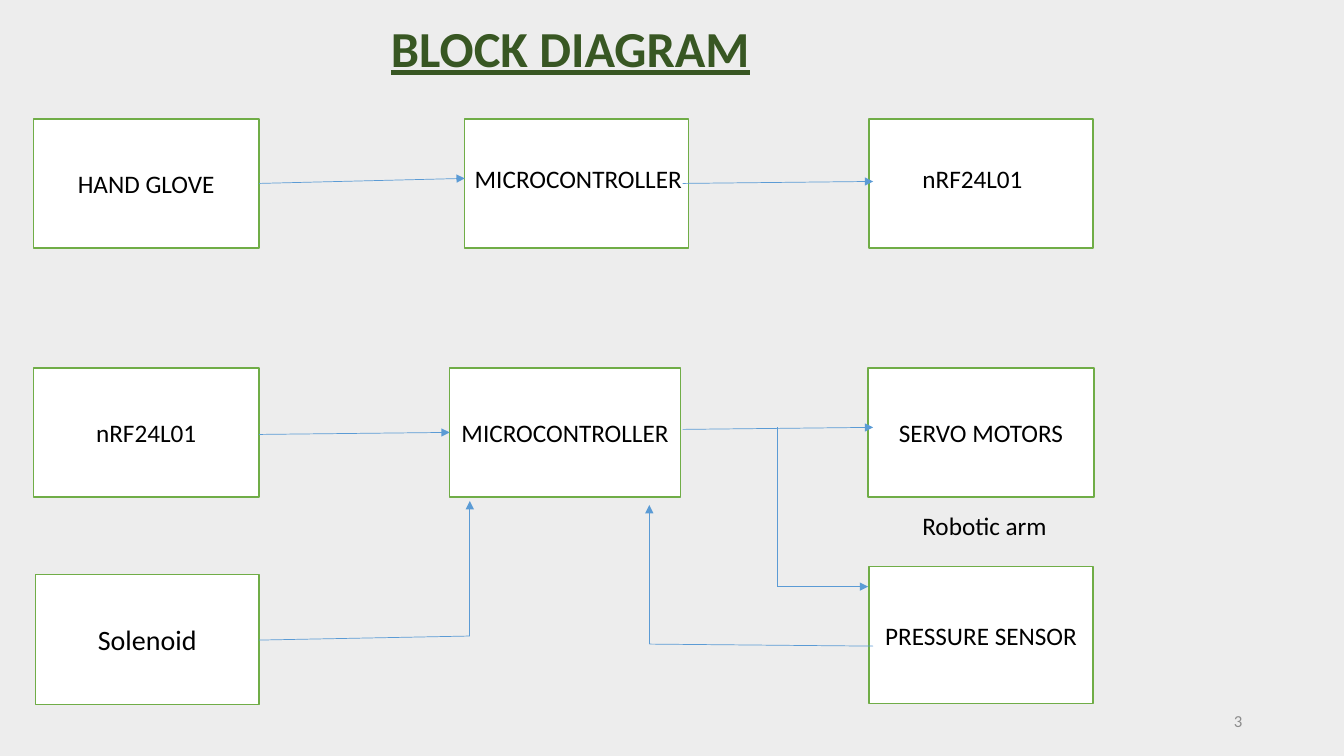
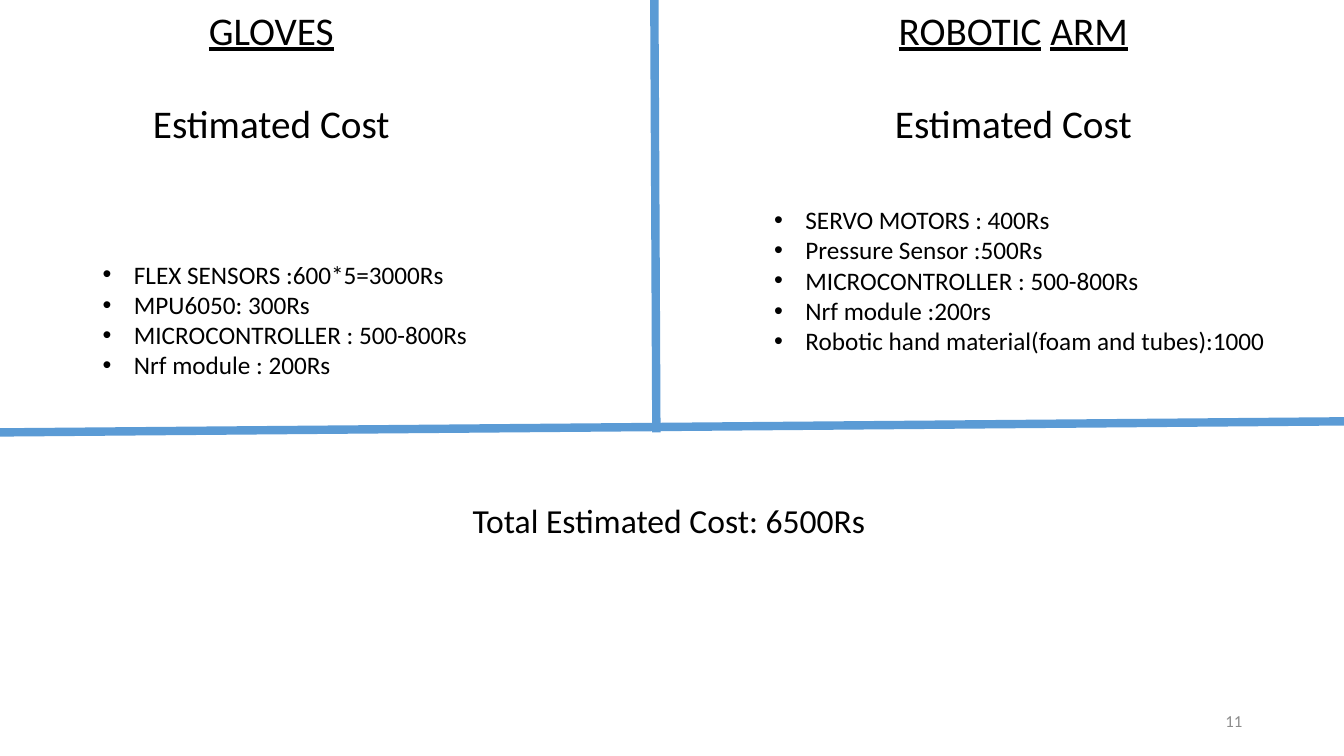
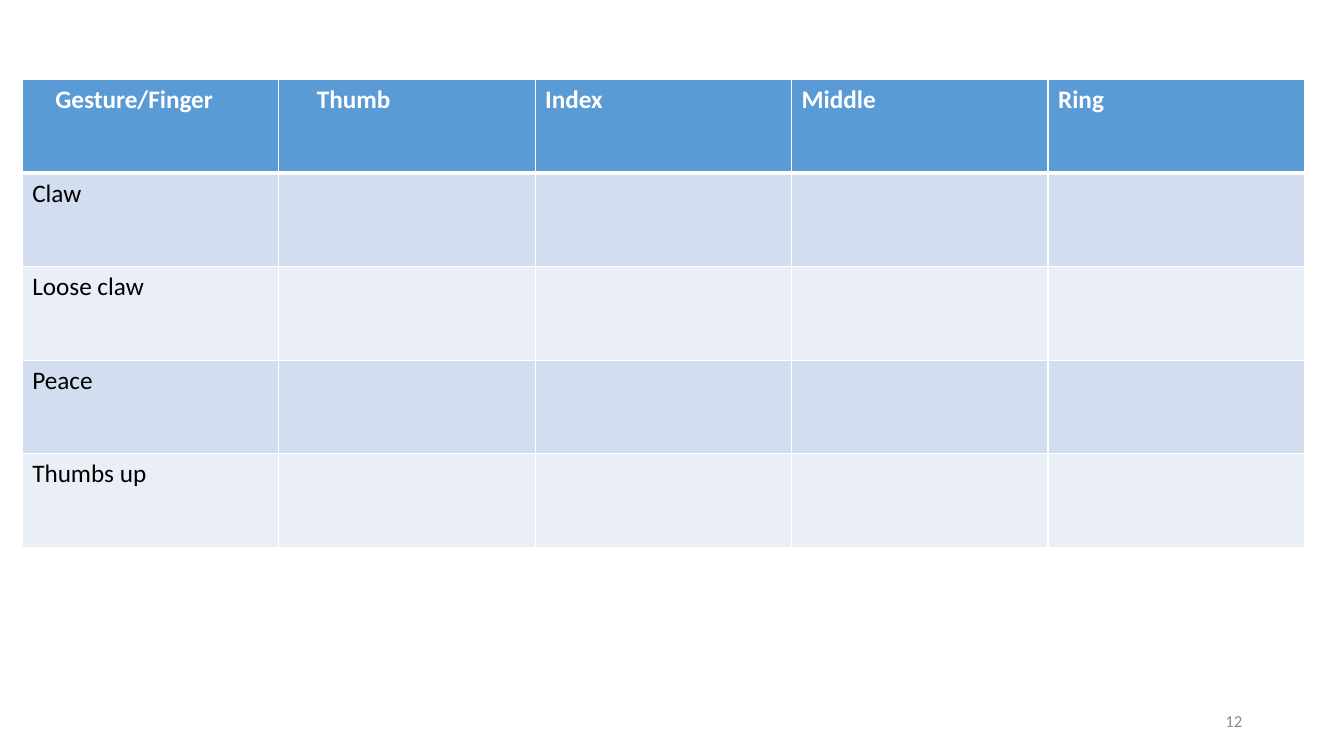
from dataclasses import dataclass
from itertools import pairwise

from lxml import etree
from pptx import Presentation
from pptx import util as u
from pptx.dml.color import RGBColor
from pptx.enum import shapes, text
from pptx.oxml import ns

PX = 9144


@dataclass(frozen=True)
class Theme:
    """Colours, font and type sizes shared by all slides."""

    font: str = "Calibri"
    ink: str = "000000"
    paper: str = "FFFFFF"
    diagram_paper: str = "EDEDED"
    title: str = "385723"
    block_edge: str = "70AD47"
    accent: str = "5B9BD5"
    bands: tuple = ("D2DEEF", "EAEFF7")
    muted: str = "8C8C8C"
    title_size: int = 36
    heading_size: int = 28
    total_size: int = 24
    large_size: int = 20
    body_size: int = 18
    number_size: int = 12


THEME = Theme()
ALIGN = text.PP_ALIGN
ANCHOR = text.MSO_ANCHOR


@dataclass(frozen=True)
class Box:
    """A rectangle in px."""

    left: int
    top: int
    width: int
    height: int

    def inside(self, left, top, width, height):
        """Return a box placed relative to this one."""
        return Box(self.left + left, self.top + top, width, height)

    def emu(self):
        """Return the four lengths in EMU."""
        return [u.Emu(value * PX) for value in (self.left, self.top, self.width, self.height)]


PAGE = Box(0, 0, 1333, 750)


def rgb(color):
    """Turn a hex string into a colour."""
    return RGBColor.from_string(color)


def add_xml(parent, tag, **attributes):
    """Append a DrawingML element and return it."""
    return etree.SubElement(parent, ns.qn(tag), attributes)


def write(frame, content, size=THEME.body_size, color=THEME.ink, bold=False, underline=False,
          align=ALIGN.LEFT, anchor=ANCHOR.TOP, before=0, bullet=None, indent=0):
    """Fill a text frame with one string, or one paragraph for each item of a list."""
    frame.word_wrap = True
    frame.vertical_anchor = anchor
    lines = [content] if isinstance(content, str) else content
    for index, line in enumerate(lines):
        paragraph = frame.paragraphs[0] if index == 0 else frame.add_paragraph()
        paragraph.alignment = align
        if before:
            paragraph.space_before = u.Pt(before)
        if bullet:
            properties = paragraph._p.get_or_add_pPr()
            properties.set("marL", str(indent * PX))
            properties.set("indent", str(-indent * PX))
            add_xml(properties, "a:buFont", typeface="Arial")
            add_xml(properties, "a:buChar", char=bullet)
        runs = [(line, underline)] if isinstance(line, str) else line
        for words, underlined in runs:
            run = paragraph.add_run()
            run.text = words
            font = run.font
            font.name, font.size, font.bold = THEME.font, u.Pt(size), bold
            font.underline = underlined
            font.color.rgb = rgb(color)


def add_label(slide, box, content, **style):
    """Place a text box."""
    write(slide.shapes.add_textbox(*box.emu()).text_frame, content, **style)


def add_block(slide, box, words, size=THEME.body_size):
    """Place an outlined block with centred text."""
    shape = slide.shapes.add_shape(shapes.MSO_SHAPE.RECTANGLE, *box.emu())
    shape.shadow.inherit = False
    shape.fill.solid()
    shape.fill.fore_color.rgb = rgb(THEME.paper)
    shape.line.color.rgb = rgb(THEME.block_edge)
    shape.line.width = u.Pt(1)
    if words:
        write(shape.text_frame, words, size=size, align=ALIGN.CENTER, anchor=ANCHOR.MIDDLE)


def add_line(slide, start, end, width, arrow=False):
    """Draw a straight line, with an arrowhead at its end if asked."""
    ends = [u.Emu(value * PX) for value in (*start, *end)]
    connector = slide.shapes.add_connector(shapes.MSO_CONNECTOR.STRAIGHT, *ends)
    connector.line.color.rgb = rgb(THEME.accent)
    connector.line.width = u.Pt(width)
    if arrow:
        add_xml(connector.line._get_or_add_ln(), "a:tailEnd", type="triangle")
    add_xml(connector._element.spPr, "a:effectLst")


def add_route(slide, box, points):
    """Draw a path through points of a box, ending in an arrowhead."""
    placed = [(box.left + x, box.top + y) for x, y in points]
    for start, end in pairwise(placed):
        add_line(slide, start, end, 0.5, arrow=end == placed[-1])


def new_slide(presentation, number, paper=THEME.paper):
    """Add a blank slide with its background and page number."""
    slide = presentation.slides.add_slide(presentation.slide_layouts[6])
    slide.background.fill.solid()
    slide.background.fill.fore_color.rgb = rgb(paper)
    add_label(slide, PAGE.inside(942, 695, 300, 40), str(number), size=THEME.number_size,
              color=THEME.muted, align=ALIGN.RIGHT, anchor=ANCHOR.MIDDLE)
    return slide


def draw_transmitter(slide, box):
    """Draw the glove row of the diagram."""
    add_block(slide, box.inside(0, 0, 224, 128), "HAND GLOVE")
    for block_left, label_left, words in ((428, 428, "MICROCONTROLLER"), (829, 872, "nRF24L01")):
        add_block(slide, box.inside(block_left, 0, 222, 128), "")
        add_label(slide, box.inside(label_left, 39, 235, 40), words)
    add_route(slide, box, [(224, 64), (428, 59)])
    add_route(slide, box, [(644, 64), (833, 62)])


def draw_receiver(slide, box):
    """Draw the arm part of the diagram."""
    add_block(slide, box.inside(0, 0, 224, 128), "nRF24L01")
    add_block(slide, box.inside(413, 0, 229, 128), "MICROCONTROLLER")
    add_block(slide, box.inside(828, 0, 224, 128), "SERVO MOTORS")
    add_block(slide, box.inside(829, 197, 222, 136), "PRESSURE SENSOR")
    add_block(slide, box.inside(2, 205, 222, 129), "Solenoid", size=THEME.large_size)
    add_label(slide, box.inside(872, 136, 160, 40), "Robotic arm")
    routes = (
        [(224, 66), (413, 64)],
        [(644, 61), (833, 59)],
        [(738, 59), (738, 217), (828, 217)],
        [(833, 276), (611, 274), (611, 136)],
        [(224, 270), (433, 266), (433, 132)],
    )
    for points in routes:
        add_route(slide, box, points)


def build_diagram(presentation):
    """Build the block diagram slide."""
    slide = new_slide(presentation, 3, THEME.diagram_paper)
    add_label(slide, PAGE.inside(378, 12, 876, 70), "BLOCK DIAGRAM", size=THEME.title_size,
              color=THEME.title, bold=True, underline=True)
    draw_transmitter(slide, PAGE.inside(33, 118, 1052, 128))
    draw_receiver(slide, PAGE.inside(33, 365, 1052, 334))


def draw_costs(slide, box, heading, list_box, items):
    """Draw a heading and its list of costs."""
    style = {"size": THEME.heading_size, "align": ALIGN.CENTER}
    add_label(slide, box.inside(0, 0, box.width, 56), [heading], **style)
    add_label(slide, box.inside(0, 93, box.width, 56), "Estimated Cost", **style)
    add_label(slide, list_box, items, bullet="•", indent=31)


def build_costs(presentation):
    """Build the cost slide."""
    slide = new_slide(presentation, 11)
    add_line(slide, (649, 0), (651, 429), 6)
    add_line(slide, (PAGE.width, 418), (0, 429), 6)
    draw_costs(slide, PAGE.inside(17, 1, 504, 199), [("GLOVES", True)],
               PAGE.inside(92, 252, 464, 162),
               ["FLEX SENSORS :600*5=3000Rs", "MPU6050: 300Rs",
                "MICROCONTROLLER : 500-800Rs", "Nrf module : 200Rs"])
    draw_costs(slide, PAGE.inside(782, 1, 446, 199),
               [("ROBOTIC", True), (" ", False), ("ARM", True)],
               PAGE.inside(758, 198, 521, 162),
               ["SERVO MOTORS : 400Rs", "Pressure Sensor :500Rs", "MICROCONTROLLER : 500-800Rs",
                "Nrf module :200rs", "Robotic hand material(foam and tubes):1000"])
    add_label(slide, PAGE.inside(459, 491, 467, 50), "Total Estimated Cost: 6500Rs",
              size=THEME.total_size)


def style_cell(cell, fill, bottom):
    """Give a cell white borders and a fill."""
    properties = cell._tc.get_or_add_tcPr()
    for side, width in (("L", 1), ("R", 1), ("T", 1), ("B", bottom)):
        border = add_xml(properties, f"a:ln{side}", w=str(u.Pt(width)))
        add_xml(add_xml(border, "a:solidFill"), "a:srgbClr", val=THEME.paper)
    cell.fill.solid()
    cell.fill.fore_color.rgb = rgb(fill)


def draw_gestures(slide, box, headers, gestures):
    """Draw the gesture table, with header indents in px."""
    count = len(gestures) + 1
    table = slide.shapes.add_table(count, len(headers), *box.emu()).table
    for column in table.columns:
        column.width = u.Emu(box.width * PX // len(headers))
    for index, row in enumerate(table.rows):
        row.height = u.Emu(box.height * PX // count)
        is_header = index == 0
        fill = THEME.accent if is_header else THEME.bands[(index - 1) % 2]
        for column, cell in enumerate(row.cells):
            style_cell(cell, fill, 3 if index < 2 and is_header else 1)
            if is_header:
                words, indent = headers[column]
                cell.margin_left = u.Emu((10 + indent) * PX)
                write(cell.text_frame, words, color=THEME.paper, bold=True)
            elif column == 0:
                write(cell.text_frame, gestures[index - 1])


def build_gestures(presentation):
    """Build the gesture table slide."""
    slide = new_slide(presentation, 12)
    headers = (("Gesture/Finger", 23), ("Thumb", 28), ("Index", 0), ("Middle", 0), ("Ring", 0))
    draw_gestures(slide, PAGE.inside(22, 79, 1272, 464), headers,
                  ("Claw", "Loose claw", "Peace", "Thumbs up"))


def main():
    """Build and save the presentation."""
    presentation = Presentation()
    presentation.slide_width = u.Emu(PAGE.width * PX)
    presentation.slide_height = u.Emu(PAGE.height * PX)
    build_diagram(presentation)
    build_costs(presentation)
    build_gestures(presentation)
    presentation.save("out.pptx")


if __name__ == "__main__":
    main()
